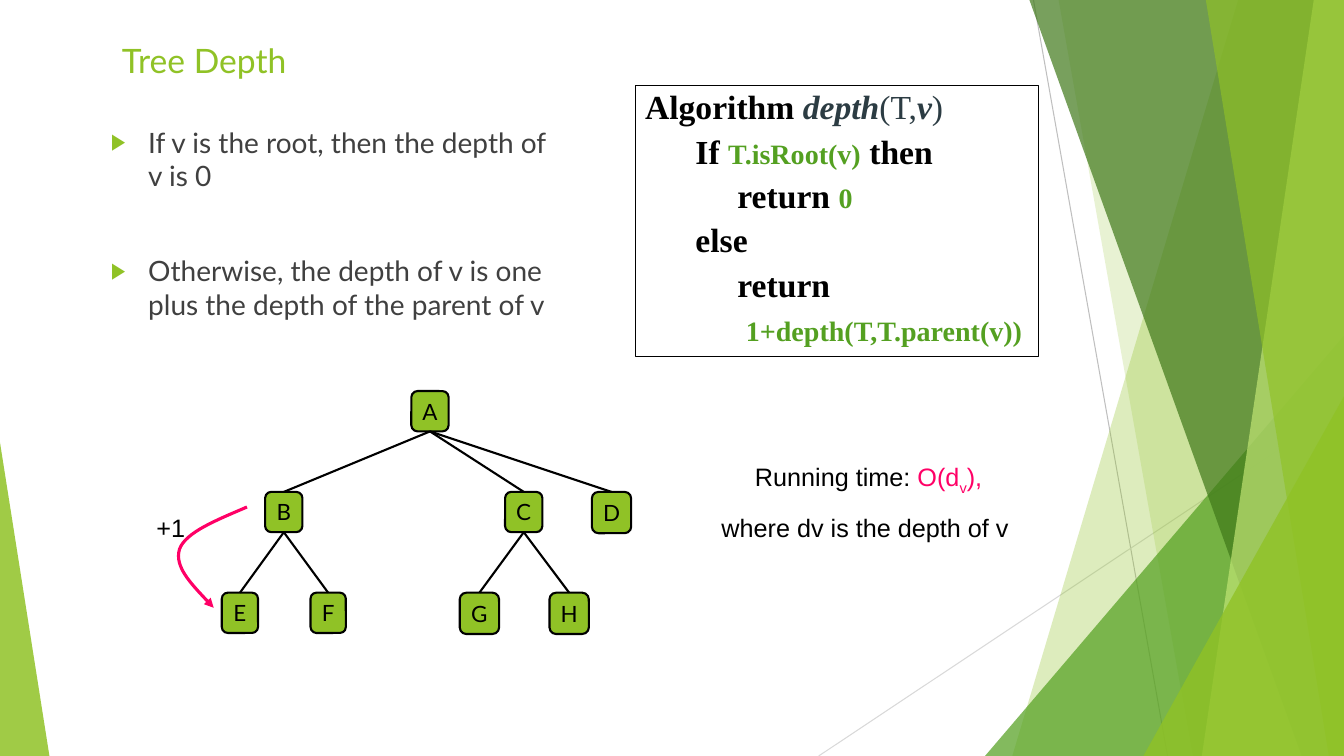
from dataclasses import dataclass

from lxml.etree import SubElement
from pptx import Presentation
from pptx.dml.color import RGBColor
from pptx.enum.shapes import MSO_CONNECTOR as Link, MSO_SHAPE as Preset
from pptx.enum.text import MSO_ANCHOR as Anchor, MSO_AUTO_SIZE as Fit, PP_ALIGN as Align
from pptx.oxml.ns import qn
from pptx.util import Pt

PX = 9144
COLORS = {
    "lime": "90C226", "green": "54A021", "forest": "3F7819", "pale": "C0E474",
    "black": "000000", "text": "404040", "slate": "2C3C43", "pink": "FF0066",
    "gray": "BFBFBF", "silver": "D9D9D9",
}


@dataclass
class Span:
    text: str
    color: str = "black"
    size: int = 24
    bold: bool = True
    italic: bool = False


@dataclass
class Node:
    name: str
    parent: str
    level: int
    left: int
    width: int
    height: int = 40


@dataclass
class Facet:
    points: list
    color: str
    opacity: int


@dataclass
class Wedge:
    area: tuple
    apex: int
    color: str
    opacity: int


BACKDROP = [
    Facet([(1228, 0), (1333, 0), (1333, 750), (1004, 750)], "lime", 30),
    Facet([(1050, 0), (1333, 0), (1333, 750), (1183, 750)], "lime", 20),
    Wedge((977, 333, 356, 417), 1, "green", 72),
    Facet([(1021, 0), (1333, 0), (1333, 750), (1291, 750)], "forest", 70),
    Facet([(1303, 0), (1333, 0), (1333, 750), (1192, 750)], "pale", 70),
    Facet([(1196, 0), (1333, 0), (1333, 750), (1318, 750)], "lime", 65),
    Wedge((1134, 393, 199, 357), 1, "lime", 80),
    Wedge((0, 439, 49, 311), 0, "lime", 85),
]
CODE = [
    [Span("Algorithm "), Span("depth", "slate", italic=True), Span("(T,", "slate", bold=False),
     Span("v", "slate", italic=True), Span(")", "slate", bold=False)],
    [Span("If "), Span("T.isRoot(v)", "green", 20), Span(" then")],
    [Span("     return "), Span("0", "green", 20)],
    [Span("else")],
    [Span("     return")],
    [Span("      "), Span("1+depth(T,T.parent(v))", "green", 20)],
]
TREE = [
    Node("A", "", 0, 408, 37),
    Node("B", "A", 1, 263, 37), Node("C", "A", 1, 501, 37), Node("D", "A", 1, 587, 39, 41),
    Node("E", "B", 2, 220, 36), Node("F", "B", 2, 308, 35),
    Node("G", "C", 2, 456, 39, 41), Node("H", "C", 2, 545, 39, 41),
]
RULES = [
    "If v is the root, then the depth of v is 0",
    "Otherwise, the depth of v is one plus the depth of the parent of v",
]


def rgb(color: str) -> RGBColor:
    return RGBColor.from_string(COLORS[color])


def emu(*lengths: int) -> list:
    return [length * PX for length in lengths]


def write(para, text: str, *, size: int, font: str, color: str, bold: bool = False,
          italic: bool = False, baseline: int = 0) -> None:
    span = para.add_run()
    span.text = text
    span.font.size, span.font.name = Pt(size), font
    span.font.bold, span.font.italic = bold, italic
    span.font.color.rgb = rgb(color)
    if baseline:
        span.font._element.set("baseline", str(baseline * 1000))


def paragraphs(frame, count: int, *, gap: float = 0, align=Align.LEFT, anchor=Anchor.TOP,
               wrap: bool = True) -> list:
    frame.word_wrap, frame.auto_size, frame.vertical_anchor = wrap, Fit.NONE, anchor
    paras = [frame.paragraphs[0]] + [frame.add_paragraph() for _ in range(count - 1)]
    for index, para in enumerate(paras):
        para.alignment = align
        para.space_before = Pt(gap if index else 0)
    return paras


def outline(shape, color: str, width: float) -> None:
    shape.line.color.rgb, shape.line.width = rgb(color), Pt(width)


def fill(shape, color: str, opacity: int) -> None:
    shape.shadow.inherit = False
    shape.line.fill.background()
    shape.fill.solid()
    shape.fill.fore_color.rgb = rgb(color)
    tint = shape._element.spPr.find(f"{qn('a:solidFill')}/{qn('a:srgbClr')}")
    SubElement(tint, qn("a:alpha"), val=str(opacity * 1000))


def connect(page, color: str, width: float, ends: tuple = (0, 0, 0, 0)):
    line = page.shapes.add_connector(Link.STRAIGHT, *emu(*ends))
    outline(line, color, width)
    SubElement(line._element.spPr, qn("a:effectLst"))
    return line


def polygon(page, points: list, close: bool):
    builder = page.shapes.build_freeform(*points[0], scale=PX)
    builder.add_line_segments(points[1:], close=close)
    shape = builder.convert_to_shape()
    shape.shadow.inherit = False
    return shape


def draw_backdrop(page) -> None:
    connect(page, "gray", 0.75, (1025, 0, 1158, 750))
    connect(page, "silver", 0.75, (1333, 403, 812, 750))
    for part in BACKDROP:
        if isinstance(part, Facet):
            shape = polygon(page, part.points, True)
        else:
            shape = page.shapes.add_shape(Preset.ISOSCELES_TRIANGLE, *emu(*part.area))
            shape.adjustments[0] = part.apex
        fill(shape, part.color, part.opacity)


def place(shape, *area: int):
    shape.left, shape.top, shape.width, shape.height = emu(*area)
    return shape.text_frame


def draw_title_and_rules(page) -> None:
    title = place(page.shapes.title, 111, 35, 220, 65)
    write(paragraphs(title, 1)[0], "Tree Depth", size=24, font="Lato", color="lime")
    body = place(page.placeholders[1], 100, 119, 467, 250)
    for para, text in zip(paragraphs(body, len(RULES), gap=44), RULES):
        format_xml = para._p.get_or_add_pPr()
        format_xml.set("marL", str(37 * PX))
        format_xml.set("indent", str(-37 * PX))
        tint = SubElement(format_xml, qn("a:buClr"))
        SubElement(tint, qn("a:srgbClr"), val=COLORS["lime"])
        SubElement(format_xml, qn("a:buSzPct"), val="80000")
        SubElement(format_xml, qn("a:buFont"), typeface="Arial")
        SubElement(format_xml, qn("a:buChar"), char="▶")
        write(para, text, size=20, font="Lato", color="text")


def draw_code(page) -> None:
    box = page.shapes.add_shape(Preset.RECTANGLE, *emu(630, 85, 400, 269))
    box.shadow.inherit = False
    box.fill.background()
    outline(box, "black", 0.75)
    for index, (para, spans) in enumerate(zip(paragraphs(box.text_frame, len(CODE), gap=5.8), CODE)):
        para.line_spacing = 0.9
        para._p.get_or_add_pPr().set("marL", str(50 * PX if index else 0))
        for span in spans:
            write(para, span.text, size=span.size, font="Times New Roman", color=span.color,
                  bold=span.bold, italic=span.italic)


def draw_tree(page) -> None:
    boxes = {}
    for node in TREE:
        area = emu(node.left, 388 + 100 * node.level, node.width, node.height)
        box = boxes[node.name] = page.shapes.add_shape(Preset.ROUNDED_RECTANGLE, *area)
        fill(box, "lime", 100)
        outline(box, "black", 1.5)
        para = paragraphs(box.text_frame, 1, align=Align.CENTER, anchor=Anchor.MIDDLE, wrap=False)[0]
        write(para, node.name, size=16, font="Lato", color="black")
        if node.parent:
            edge = connect(page, "black", 1.5)
            edge.begin_connect(boxes[node.parent], 2)
            edge.end_connect(box, 0)


def draw_step_arrow(page) -> None:
    curve = polygon(page, [(245, 503), (215, 516), (184, 528), (178, 545),
                           (173, 562), (192, 582), (212, 603)], False)
    curve.fill.background()
    outline(curve, "pink", 2.25)
    SubElement(curve.line._get_or_add_ln(), qn("a:tailEnd"), type="triangle")
    track = curve._element.spPr.find(f".//{qn('a:path')}")
    segments = track.findall(qn("a:lnTo"))
    for start in range(0, len(segments), 3):
        bend = SubElement(track, qn("a:cubicBezTo"))
        for segment in segments[start:start + 3]:
            bend.append(segment[0])
            track.remove(segment)


def draw_notes(page) -> None:
    style = {"size": 18, "font": "Arial"}
    step = page.shapes.add_textbox(*emu(128, 503, 83, 40)).text_frame
    write(paragraphs(step, 1, align=Align.CENTER)[0], "+1", color="black", **style)
    frame = page.shapes.add_textbox(*emu(703, 453, 317, 86)).text_frame
    cost, meaning = paragraphs(frame, 2, gap=12, align=Align.CENTER)
    write(cost, "Running time: ", color="black", **style)
    write(cost, "O(d", color="pink", **style)
    write(cost, "v", color="pink", baseline=-25, **style)
    write(cost, "),", color="pink", **style)
    write(meaning, "where dv is the depth of v ", color="black", **style)


def main() -> None:
    deck = Presentation()
    deck.slide_width, deck.slide_height = emu(1333, 750)
    page = deck.slides.add_slide(deck.slide_layouts[1])
    for draw in (draw_backdrop, draw_title_and_rules, draw_code, draw_tree, draw_step_arrow, draw_notes):
        draw(page)
    deck.save("out.pptx")


if __name__ == "__main__":
    main()
